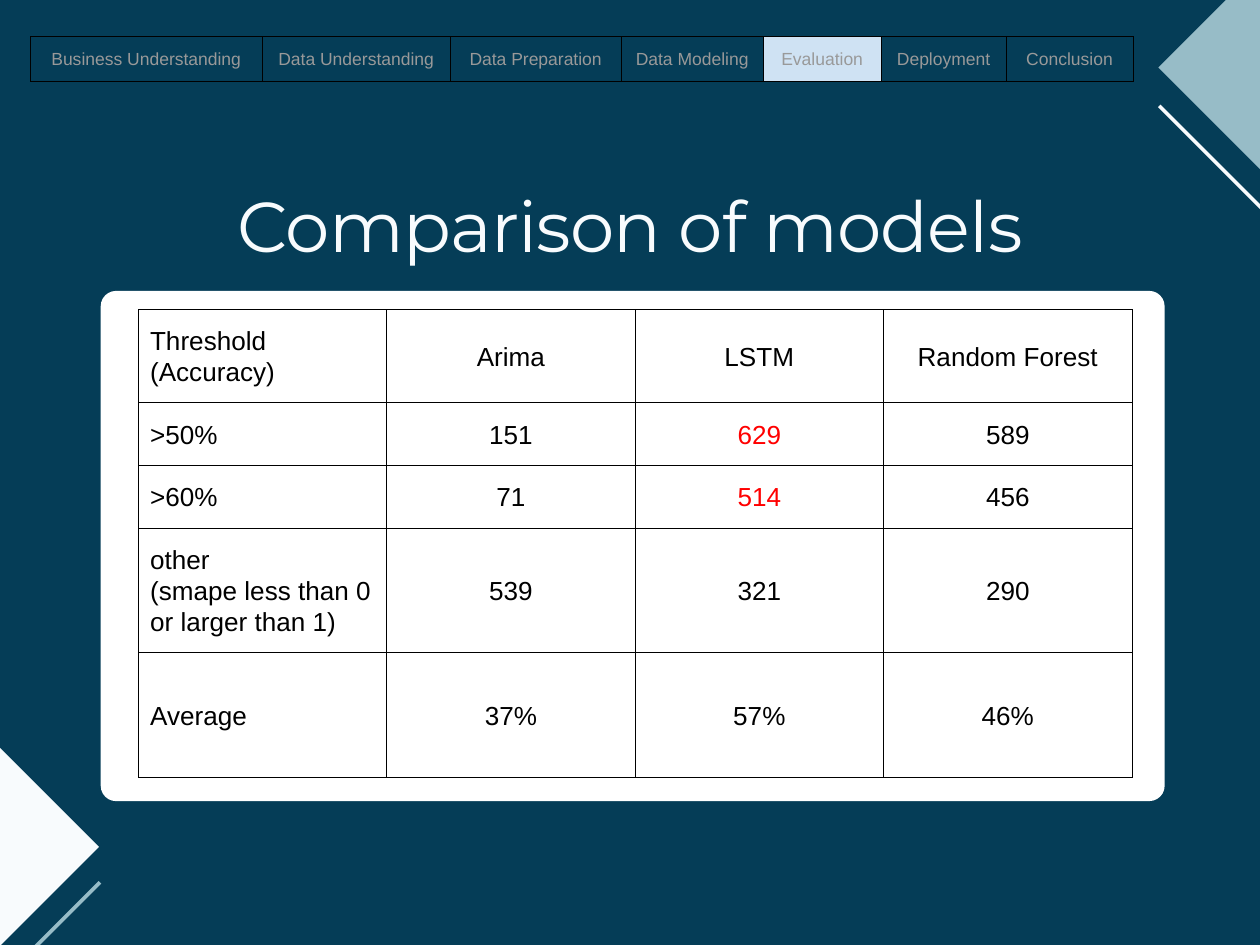
from lxml import etree
from pptx import Presentation
from pptx.dml.color import RGBColor
from pptx.enum import shapes, text
from pptx.oxml import ns
from pptx.util import Pt

NAVY = RGBColor(0x05, 0x3D, 0x57)
ICE = RGBColor(0xF8, 0xFB, 0xFD)
TEAL = RGBColor(0x97, 0xBC, 0xC7)
HIGHLIGHT = RGBColor(0xCF, 0xE2, 0xF3)
GREY = RGBColor(0x99, 0x99, 0x99)
WHITE = RGBColor(0xFF, 0xFF, 0xFF)
BLACK = RGBColor(0, 0, 0)
RED = RGBColor(0xFF, 0, 0)

# Content
TITLE = "Comparison of models"
STEPS = [
    ("Business Understanding", 141.4),
    ("Data Understanding", 114.6),
    ("Data Preparation", 104.3),
    ("Data Modeling", 86.6),
    ("Evaluation", 71.9),
    ("Deployment", 76.2),
    ("Conclusion", 77.4),
]
CURRENT_STEP = "Evaluation"
RESULTS = [
    ["Threshold (Accuracy)", "Arima", "LSTM", "Random Forest"],
    [">50%", "151", "629", "589"],
    [">60%", "71", "514", "456"],
    ["other\n(smape less than 0 or larger than 1)", "539", "321", "290"],
    ["Average", "37%", "57%", "46%"],
]
RESULT_HEIGHTS = [56.9, 38.2, 38.2, 76, 76]
BEST = {"629", "514"}
# Corner decorations: left, top, width, height, colour
CORNERS = [
    (-43.9, 473, 86.4, 86.4, ICE),
    (727.2, -1.4, 82, 92.9, TEAL),
    (-41, 578.9, 119.5, 2.2, TEAL),
    (758.9, 42.5, 2.2, 150.5, ICE),
]
NAV_FORMAT = {"name": "Arial", "size": Pt(10.7)}
RESULT_FORMAT = {"name": "Arial", "size": Pt(15.9)}
TITLE_FORMAT = {"name": "Montserrat", "size": Pt(43)}

prs = Presentation()
prs.slide_width, prs.slide_height = Pt(768.24), Pt(576)
slide = prs.slides.add_slide(prs.slide_layouts[6])
slide.background.fill.solid()
slide.background.fill.fore_color.rgb = NAVY


def style_paragraph(paragraph, font_format, colour, align, spacing):
    paragraph.alignment = align
    paragraph.line_spacing = Pt(spacing)
    for run in paragraph.runs:
        for key, value in font_format.items():
            setattr(run.font, key, value)
        run.font.color.rgb = colour


def add_block(kind, left, top, width, height, colour):
    block = slide.shapes.add_shape(kind, Pt(left), Pt(top), Pt(width), Pt(height))
    block.shadow.inherit = False
    block.fill.solid()
    block.fill.fore_color.rgb = colour
    block.line.fill.background()
    return block


def add_borders(cell, width=0.37):
    properties = cell._tc.get_or_add_tcPr()
    for side in ("a:lnL", "a:lnR", "a:lnT", "a:lnB"):
        line = etree.SubElement(properties, ns.qn(side), w=str(Pt(width)))
        fill = etree.SubElement(line, ns.qn("a:solidFill"))
        etree.SubElement(fill, ns.qn("a:srgbClr"), val=str(BLACK))


def add_grid(left, top, widths, heights, rows, font_format, spacing, look):
    """look(text, column) gives the cell's fill, text colour and alignment."""
    table = slide.shapes.add_table(
        len(rows), len(widths), Pt(left), Pt(top), Pt(sum(widths)), Pt(sum(heights))
    ).table
    table.first_row = table.horz_banding = False
    for column, width in zip(table.columns, widths):
        column.width = Pt(width)
    for row, height, words in zip(table.rows, heights, rows):
        row.height = Pt(height)
        for index, (cell, word) in enumerate(zip(row.cells, words)):
            fill, colour, align = look(word, index)
            cell.text = word
            cell.vertical_anchor = text.MSO_ANCHOR.MIDDLE
            for side in ("left", "right", "top", "bottom"):
                setattr(cell, f"margin_{side}", Pt(7.2))
            add_borders(cell)
            if fill is None:
                cell.fill.background()
            else:
                cell.fill.solid()
                cell.fill.fore_color.rgb = fill
            for paragraph in cell.text_frame.paragraphs:
                style_paragraph(paragraph, font_format, colour, align, spacing)


def nav_look(word, column):
    fill = HIGHLIGHT if word == CURRENT_STEP else None
    return fill, GREY, text.PP_ALIGN.CENTER


def result_look(word, column):
    align = text.PP_ALIGN.CENTER if column else text.PP_ALIGN.LEFT
    return None, RED if word in BEST else BLACK, align


# Corner diamonds and stripes
for *box, colour in CORNERS:
    add_block(shapes.MSO_SHAPE.RECTANGLE, *box, colour).rotation = 315

# Project step bar
step_names, step_widths = zip(*STEPS)
add_grid(18.5, 22.3, step_widths, [27.2], [step_names], NAV_FORMAT, 12.8, nav_look)

# White card with the results
card = add_block(shapes.MSO_SHAPE.ROUNDED_RECTANGLE, 61.4, 177.3, 648.7, 311, WHITE)
card.adjustments[0] = 0.03
add_grid(84.3, 188.6, [151.5] * 4, RESULT_HEIGHTS, RESULTS, RESULT_FORMAT, 19.1, result_look)

# Title
title = slide.shapes.add_textbox(Pt(84.2), Pt(110.9), Pt(599.8), Pt(51.6)).text_frame
title.word_wrap = True
for side in ("left", "right", "top", "bottom"):
    setattr(title, f"margin_{side}", 0)
title.text = TITLE
heading = title.paragraphs[0]
style_paragraph(heading, TITLE_FORMAT, ICE, text.PP_ALIGN.CENTER, 51.6)
heading.runs[0]._r.get_or_add_rPr().set("spc", "-40")

prs.save("out.pptx")
